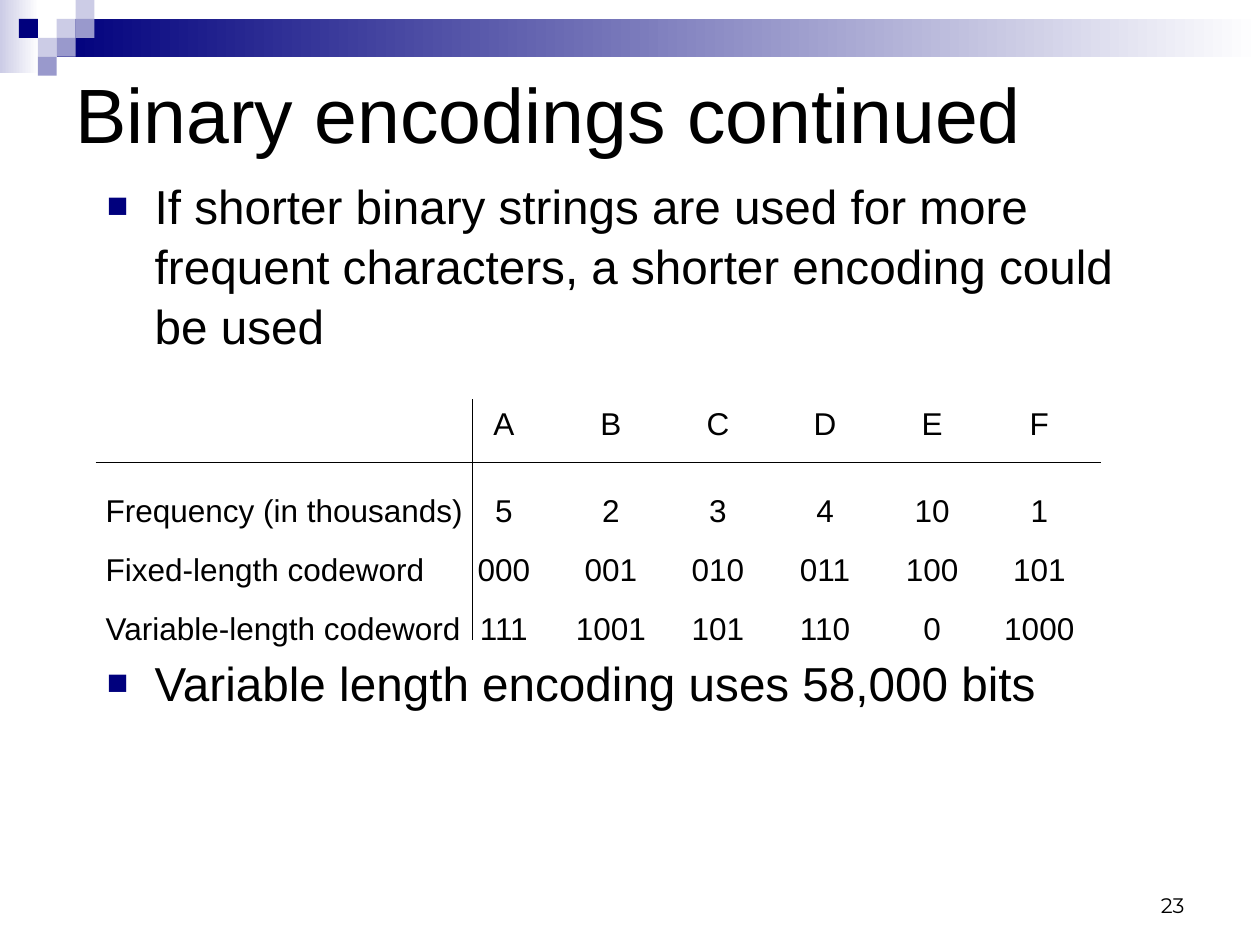
from lxml.etree import SubElement
from pptx import Presentation
from pptx.dml.color import RGBColor
from pptx.enum.shapes import MSO_CONNECTOR as Line, MSO_SHAPE as Shape
from pptx.enum.text import MSO_ANCHOR as Anchor, PP_ALIGN as Align
from pptx.oxml.ns import qn
from pptx.util import Inches, Pt

# Content
TITLE = "Binary encodings continued"
BULLETS = [
    "If shorter binary strings are used for more frequent characters, "
    "a shorter encoding could be used",
    "Variable length encoding uses 58,000 bits",
]
LETTERS = ["A", "B", "C", "D", "E", "F"]
CODE_ROWS = [
    ["Frequency (in thousands)", "5", "2", "3", "4", "10", "1"],
    ["Fixed-length codeword", "000", "001", "010", "011", "100", "101"],
    ["Variable-length codeword", "111", "1001", "101", "110", "0", "1000"],
]
PAGE_NUMBER = "23"

# Look
BLACK, WHITE, NAVY, BLUE, PALE = "000000", "FFFFFF", "00007D", "9999CC", "CCCCE6"
BANDS = [((0, 0, 0.31, 0.58), PALE), ((0.45, 0.15, 9.55, 0.3), NAVY)]
SQUARE = 0.15
SQUARES = [  # column, row, colour
    (3, 1, PALE), (4, 0, PALE), (4, 1, BLUE), (2, 2, PALE),
    (1, 1, NAVY), (3, 2, BLUE), (2, 3, BLUE),
]
INSET = 0.1
FIRST_COLUMN, COLUMN_STEP = 4.0, 0.85  # column centres on the page


def colour(value):
    return RGBColor.from_string(value)


def add_block(left, top, width, height):
    block = page.shapes.add_shape(
        Shape.RECTANGLE, Inches(left), Inches(top), Inches(width), Inches(height))
    block.shadow.inherit = False
    block.line.fill.background()
    return block


def add_text(place, lines, size, font="Arial", align=Align.LEFT,
             anchor=Anchor.TOP, gap=0, spacing=None):
    box = page.shapes.add_textbox(*[Inches(value) for value in place])
    frame = box.text_frame
    frame.word_wrap = True
    frame.vertical_anchor = anchor
    frame.text = "\n".join(lines)
    for index, para in enumerate(frame.paragraphs):
        para.alignment = align
        para.space_before = Pt(gap if index else 0)
        if spacing:
            para.line_spacing = spacing
        for span in para.runs:
            span.font.size = Pt(size)
            span.font.name = font
            span.font.color.rgb = colour(BLACK)
    return box


def add_bullet(para):
    props = para._p.get_or_add_pPr()
    props.set("marL", str(Inches(0.38)))
    props.set("indent", str(Inches(-0.38)))
    tint = SubElement(props, qn("a:buClr"))
    SubElement(tint, qn("a:srgbClr"), val=NAVY)
    SubElement(props, qn("a:buSzPct"), val="75000")
    SubElement(props, qn("a:buFont"), typeface="Arial")
    SubElement(props, qn("a:buChar"), char="■")


def add_column_tabs(box, left):
    """Centre every column on the same page position in each box."""
    for para in box.text_frame.paragraphs:
        stops = SubElement(para._p.get_or_add_pPr(), qn("a:tabLst"))
        for index in range(len(LETTERS)):
            centre = FIRST_COLUMN + index * COLUMN_STEP - left - INSET
            SubElement(stops, qn("a:tab"), pos=str(Inches(centre)), algn="ctr")


def add_rule(x1, y1, x2, y2):
    rule = page.shapes.add_connector(
        Line.STRAIGHT, Inches(x1), Inches(y1), Inches(x2), Inches(y2))
    rule.line.color.rgb = colour(BLACK)
    rule.line.width = Pt(1)
    SubElement(rule._element.spPr, qn("a:effectLst"))


deck = Presentation()
deck.slide_width, deck.slide_height = Inches(10), Inches(7.5)
page = deck.slides.add_slide(deck.slide_layouts[6])

# Decorated top edge
for place, start in BANDS:
    fill = add_block(*place).fill
    fill.gradient()
    fill.gradient_angle = 0
    for stop, value in zip(fill.gradient_stops, (start, WHITE)):
        stop.color.rgb = colour(value)
for column, row, value in SQUARES:
    fill = add_block(column * SQUARE, row * SQUARE, SQUARE, SQUARE).fill
    fill.solid()
    fill.fore_color.rgb = colour(value)

# Page number, title and bullets
add_text((7.17, 6.83, 2.33, 0.5), [PAGE_NUMBER], 12, "Montserrat",
         Align.RIGHT, Anchor.BOTTOM)
add_text((0.5, 0.25, 9, 1.06), [TITLE], 44, anchor=Anchor.BOTTOM)
body = add_text((0.75, 1.33, 8.5, 4.5), BULLETS, 27.2, gap=170, spacing=1.05)
for para in body.text_frame.paragraphs:
    add_bullet(para)

# Codeword grid
add_rule(0.76, 3.67, 8.74, 3.67)
rows = add_text((0.74, 3.83, 8.26, 1.31), ["\t".join(row) for row in CODE_ROWS],
                18, gap=11.2, spacing=1.05)
add_column_tabs(rows, 0.74)
add_rule(3.75, 3.17, 3.75, 5.08)
header = add_text((3.74, 3.16, 5.01, 0.4), ["\t" + "\t".join(LETTERS)], 18)
add_column_tabs(header, 3.74)

deck.save("out.pptx")
